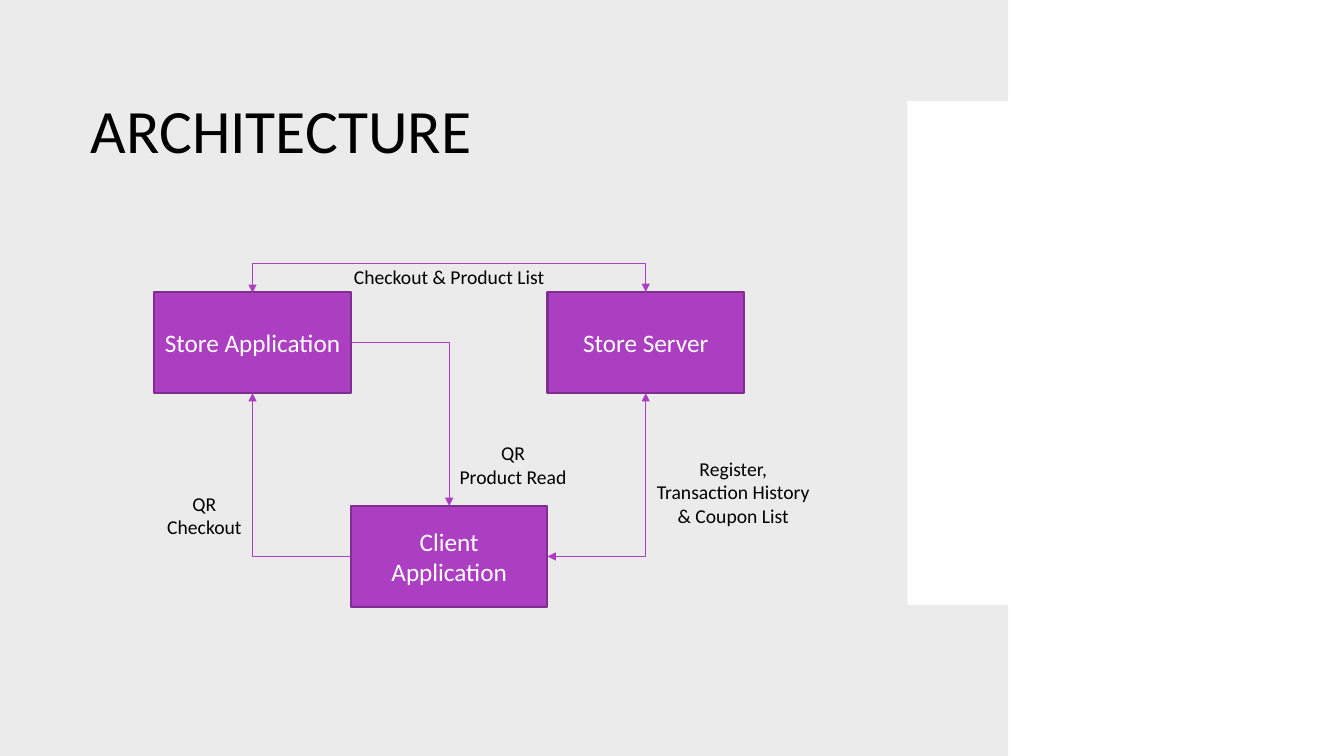
import dataclasses
import pptx
import pptx.util
import pptx.dml.color
import pptx.enum.shapes
import pptx.enum.text
import pptx.oxml.ns
from lxml import etree

qn = pptx.oxml.ns.qn
Inches = pptx.util.Inches
Pt = pptx.util.Pt
Align = pptx.enum.text.PP_ALIGN
Anchor = pptx.enum.text.MSO_ANCHOR
TOP, LEFT, BOTTOM, RIGHT = range(4)


@dataclasses.dataclass(frozen=True)
class Theme:
    font: str = "Calibri"
    panel: str = "EBEBEB"
    accent: str = "AC3EC1"
    border: str = "7F2E8F"
    dark: str = "000000"
    light: str = "FFFFFF"
    title: int = 44
    body: int = 18
    label: int = 14
    box_line: float = 1.5
    arrow_line: float = 0.75


def rgb(value):
    return pptx.dml.color.RGBColor.from_string(value)


class Diagram:
    # Grid of the boxes, in inches: origin, column width, row height
    X, Y, COL, ROW = 1.53, 2.9, 1.95, 1.0

    def __init__(self, prs, theme):
        self.theme = theme
        self.s = prs.slides.add_slide(prs.slide_layouts[5])
        self.width, self.height = prs.slide_width, prs.slide_height

    def cell(self, col, row, cols, rows):
        return [Inches(v) for v in (self.X + col * self.COL, self.Y + row * self.ROW,
                                    cols * self.COL, rows * self.ROW)]

    def set_text(self, sp, text, size, color, align, **frame):
        tf = sp.text_frame
        for name, value in frame.items():
            setattr(tf, name, value)
        tf.text = text
        for p in tf.paragraphs:
            p.alignment = align
            font = {"name": self.theme.font, "size": Pt(size), "bold": False}
            for r in p.runs:
                for name, value in font.items():
                    setattr(r.font, name, value)
                r.font.color.rgb = rgb(color)

    def panel(self, edge, steps=40):
        ys = [7.5 * i / steps for i in range(steps + 1)]
        fb = self.s.shapes.build_freeform(0, 0, scale=Inches(1))
        fb.add_line_segments([(edge(y), y) for y in ys] + [(0, 7.5)], close=True)
        sp = fb.convert_to_shape()
        sp.shadow.inherit = False
        sp.fill.solid()
        sp.fill.fore_color.rgb = rgb(self.theme.panel)
        sp.line.fill.background()
        self.s.shapes._spTree.insert(2, sp._element)  # behind the title

    def title(self, text, left, top, width, height):
        sp = self.s.shapes.title
        frame = {"left": left * self.width, "top": top * self.height,
                 "width": width * self.width, "height": height * self.height}
        for name, value in frame.items():
            setattr(sp, name, int(value))
        self.set_text(sp, text, self.theme.title, self.theme.dark, Align.LEFT,
                      vertical_anchor=Anchor.MIDDLE, word_wrap=True)

    def box(self, text, col, row):
        rect = pptx.enum.shapes.MSO_SHAPE.RECTANGLE
        sp = self.s.shapes.add_shape(rect, *self.cell(col, row, 1, 1))
        sp.shadow.inherit = False
        sp.fill.solid()
        sp.fill.fore_color.rgb = rgb(self.theme.accent)
        sp.line.color.rgb = rgb(self.theme.border)
        sp.line.width = Pt(self.theme.box_line)
        self.set_text(sp, text, self.theme.body, self.theme.light, Align.CENTER,
                      vertical_anchor=Anchor.MIDDLE, word_wrap=True)
        return sp

    def label(self, text, *cell):
        sp = self.s.shapes.add_textbox(*self.cell(*cell))
        self.set_text(sp, text, self.theme.label, self.theme.dark, Align.CENTER,
                      word_wrap=False)

    def elbow(self, begin, end, turn, heads=("tailEnd",), rise=None):
        """Join two (box, side) pairs; rise gives a U-shaped route that high."""
        kind = pptx.enum.shapes.MSO_CONNECTOR.ELBOW
        c = self.s.shapes.add_connector(kind, 0, 0, 0, 0)
        c.begin_connect(*begin)
        c.end_connect(*end)
        dx, dy = c.end_x - c.begin_x, c.end_y - c.begin_y
        mid_x, mid_y = (c.begin_x + c.end_x) // 2, (c.begin_y + c.end_y) // 2
        w, h = abs(dx), max(abs(dy), Inches(0.01))
        if turn % 180:
            w, h = h, w
        frame = {"left": mid_x - w // 2, "top": mid_y - h // 2, "width": w, "height": h}
        for name, value in frame.items():
            setattr(c, name, value)

        # Turn the frame and choose the route
        sppr = c._element.spPr
        xfrm = sppr.find(qn("a:xfrm"))
        for flip in ("flipH", "flipV"):
            xfrm.attrib.pop(flip, None)
        xfrm.set("rot", str(turn * 60000))
        geom = sppr.find(qn("a:prstGeom"))
        if rise is None:
            geom.set("prst", "bentConnector2")
        else:
            guides = geom.find(qn("a:avLst"))
            if guides is None:
                guides = etree.SubElement(geom, qn("a:avLst"))
            ratio = round(Inches(rise) / w * 100000)
            etree.SubElement(guides, qn("a:gd"), name="adj1", fmla=f"val {ratio}")

        # Line, arrowheads, no shadow
        c.line.color.rgb = rgb(self.theme.accent)
        c.line.width = Pt(self.theme.arrow_line)
        for head in heads:
            etree.SubElement(sppr.find(qn("a:ln")), qn("a:" + head), type="triangle")
        etree.SubElement(sppr, qn("a:effectLst"))


def main():
    prs = pptx.Presentation()
    prs.slide_width, prs.slide_height = Inches(13.33), Inches(7.5)
    d = Diagram(prs, Theme())

    # Background panel with a curved right edge, and title
    d.panel(lambda y: 9.37 + 0.28 * ((y - 3.7) / 3.7) ** 2)
    d.title("ARCHITECTURE", 0.06, 0.07, 0.61, 0.2)

    # Boxes
    store = d.box("Store Application", 0, 0)
    server = d.box("Store Server", 2, 0)
    client = d.box("Client Application", 1, 2.12)

    # Arrows
    both = ("headEnd", "tailEnd")
    d.elbow((client, LEFT), (store, BOTTOM), 180)
    d.elbow((store, RIGHT), (client, TOP), 0)
    d.elbow((server, BOTTOM), (client, RIGHT), 90, both)
    d.elbow((store, TOP), (server, TOP), 270, both, rise=0.3)

    # Arrow labels
    d.label("QR\nCheckout", 0.01, 1.93, 0.49, 0.57)
    d.label("QR\nProduct Read", 1.5, 1.43, 0.65, 0.57)
    d.label("Register,\nTransaction History\n& Coupon List", 2.5, 1.58, 0.89, 0.81)
    d.label("Checkout & Product List", 0.96, -0.32, 1.08, 0.34)

    prs.save("out.pptx")


if __name__ == "__main__":
    main()
